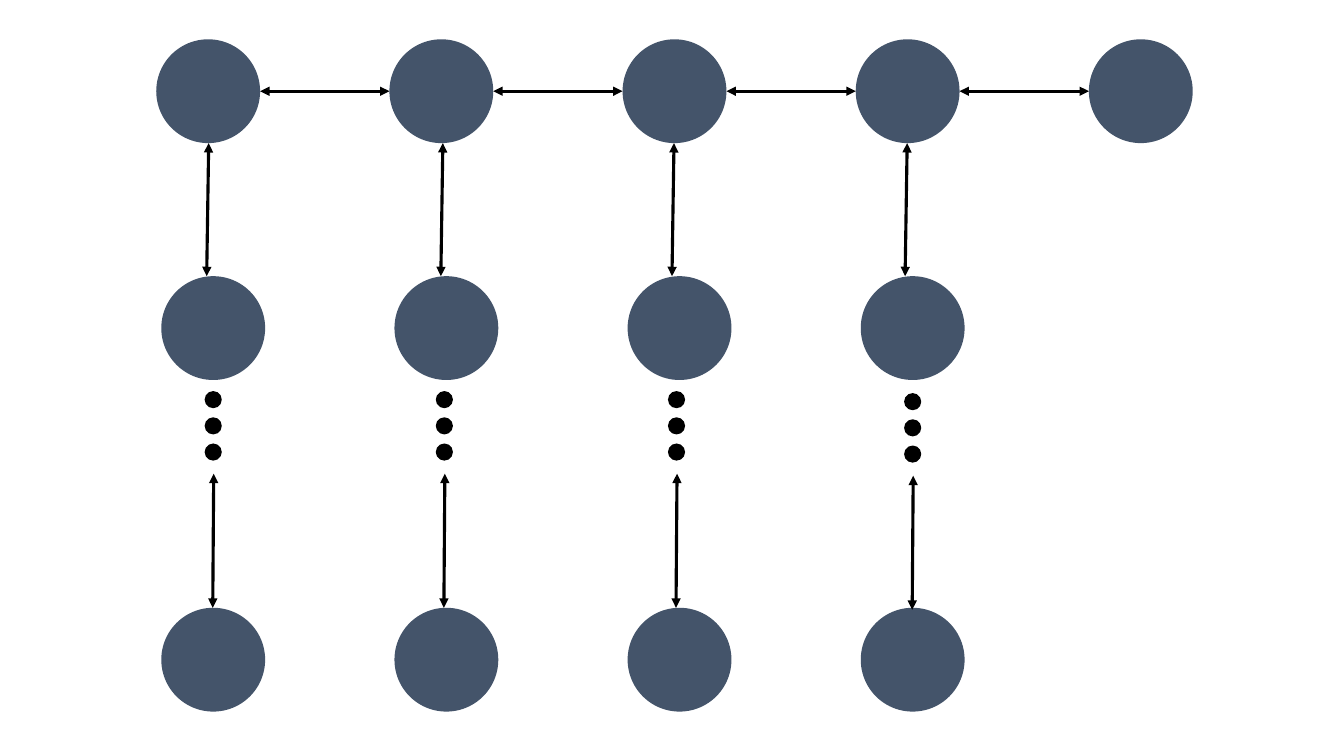
from pptx import Presentation
from pptx.dml.color import RGBColor
from pptx.enum.shapes import MSO_CONNECTOR, MSO_SHAPE
from pptx.oxml.ns import qn
from pptx.util import Inches, Pt
from lxml.etree import SubElement

SLATE = RGBColor(0x44, 0x54, 0x6A)
BLACK = RGBColor(0, 0, 0)

NODE = 1.03
DOT = 0.17
DOT_PITCH = 0.26
LEFT, TOP = 1.55, 0.39
NODE_PITCH = (10.8 - LEFT) / 4
HEAD_COUNT = 5
BRANCH_HEIGHT = 6.67
BRANCH_INDENT = 0.05
MIDDLE_DROP = 2.35
DOTS_DROP = 3.49
LOWER_LINK_DROP = 4.31
LINK_LENGTH = 1.33
BRANCHES = [
    {"link_x": 0.52, "dots_x": 0.48, "shift": 0},
    {"link_x": 0.53, "dots_x": 0.46, "shift": 0},
    {"link_x": 0.51, "dots_x": 0.45, "shift": 0},
    {"link_x": 0.51, "dots_x": 0.48, "shift": 0.02},
]


def add_circle(slide, left, top, size, color):
    circle = slide.shapes.add_shape(
        MSO_SHAPE.OVAL, Inches(left), Inches(top), Inches(size), Inches(size))
    circle.shadow.inherit = False
    circle.fill.solid()
    circle.fill.fore_color.rgb = color
    circle.line.fill.background()


def add_link(slide, start, end):
    link = slide.shapes.add_connector(
        MSO_CONNECTOR.STRAIGHT, *(Inches(value) for value in (*start, *end)))
    link.line.color.rgb = BLACK
    for name, value in {"width": Pt(2.25)}.items():
        setattr(link.line, name, value)
    outline = link.line._get_or_add_ln()
    for tag in ("a:headEnd", "a:tailEnd"):
        SubElement(outline, qn(tag), type="triangle")
    SubElement(link._element.spPr, qn("a:effectLst"))


def add_head_row(slide, left, top, width):
    pitch = (width - NODE) / (HEAD_COUNT - 1)
    middle = top + NODE / 2
    for index in range(HEAD_COUNT):
        node_left = left + index * pitch
        add_circle(slide, node_left, top, NODE, SLATE)
        if index:
            add_link(slide, (node_left, middle), (node_left - pitch + NODE, middle))


def add_branch(slide, left, top, height, link_x, dots_x, shift):
    add_link(slide, (left + link_x, top + NODE),
             (left + link_x - 0.02, top + MIDDLE_DROP))
    for node_top in (top + MIDDLE_DROP, top + height - NODE):
        add_circle(slide, left + BRANCH_INDENT, node_top, NODE, SLATE)
    dots_left = left + dots_x
    for index in range(3):
        dot_top = top + DOTS_DROP + shift + index * DOT_PITCH
        add_circle(slide, dots_left, dot_top, DOT, BLACK)
    link_top = top + LOWER_LINK_DROP + shift
    add_link(slide, (dots_left + 0.09, link_top),
             (dots_left + 0.08, link_top + LINK_LENGTH))


presentation = Presentation()
presentation.slide_width = Inches(13.33)
presentation.slide_height = Inches(7.5)
slide = presentation.slides.add_slide(presentation.slide_layouts[6])
add_head_row(slide, LEFT, TOP, NODE_PITCH * (HEAD_COUNT - 1) + NODE)
for column, branch in enumerate(BRANCHES):
    add_branch(slide, LEFT + column * NODE_PITCH, TOP, BRANCH_HEIGHT, **branch)
presentation.save("out.pptx")
